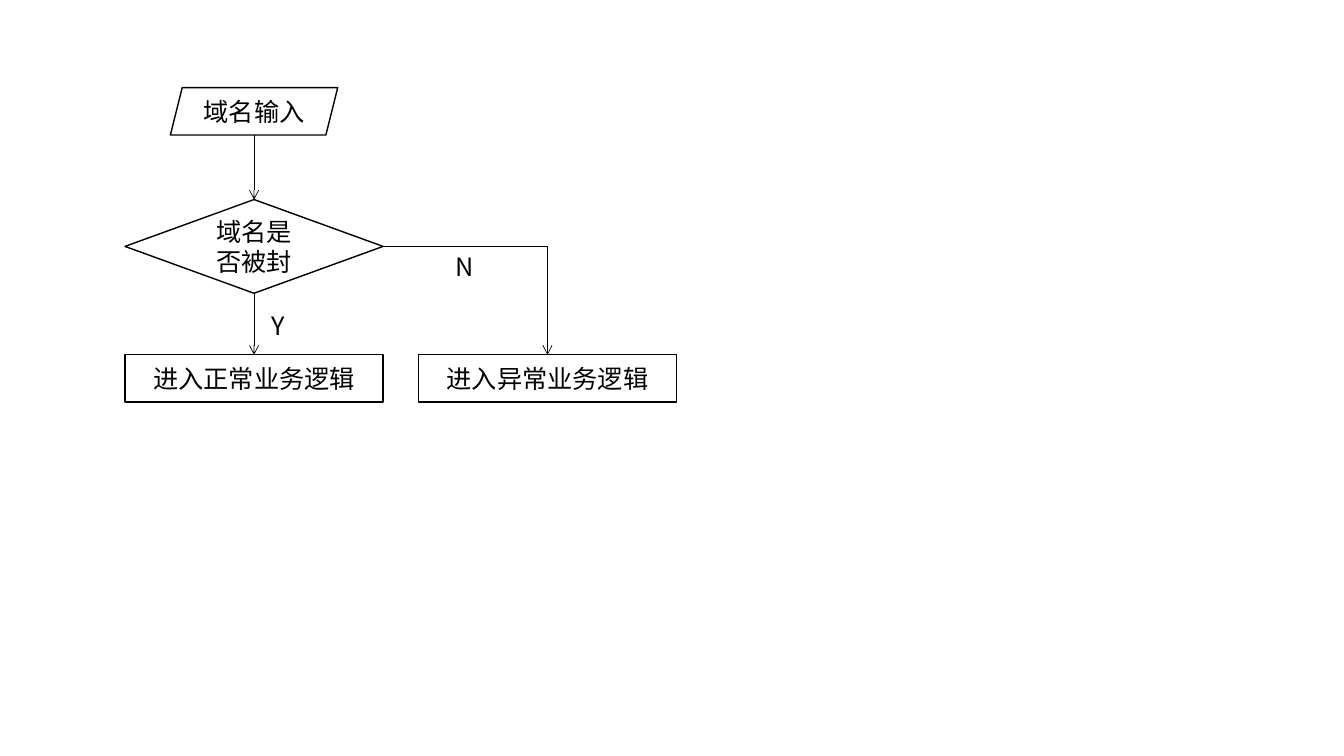
from lxml import etree
from pptx import Presentation
from pptx.dml.color import RGBColor
from pptx.enum import shapes, text
from pptx.oxml.ns import qn
from pptx.util import Inches, Pt

BLACK = RGBColor(0x00, 0x00, 0x00)
WHITE = RGBColor(0xFF, 0xFF, 0xFF)
FONT = "Noto Sans CJK SC"

STEP_W, STEP_H = 2.56, 0.47
NORMAL_X, ABNORMAL_X = 1.24, 4.15
RESULT_Y = 3.52
CHECK_Y, CHECK_H = 1.98, 0.93
INPUT_Y, INPUT_W = 0.87, 1.66


def write(frame, wording, align):
    frame.text = wording
    for paragraph in frame.paragraphs:
        paragraph.alignment = align
        for run in paragraph.runs:
            run.font.size = Pt(18)
            run.font.name = FONT
            run.font.color.rgb = BLACK
            east_asian = etree.SubElement(run.font._element, qn("a:ea"))
            east_asian.set("typeface", FONT)


def add_step(slide, preset, left, top, width, height, wording):
    step = slide.shapes.add_shape(
        preset, Inches(left), Inches(top), Inches(width), Inches(height))
    step.shadow.inherit = False
    step.fill.solid()
    step.fill.fore_color.rgb = WHITE
    step.line.color.rgb = BLACK
    step.line.width = Pt(1)
    step.text_frame.word_wrap = False
    step.text_frame.vertical_anchor = text.MSO_ANCHOR.MIDDLE
    write(step.text_frame, wording, text.PP_ALIGN.CENTER)
    return step


def add_flow(slide, start, end, source=None, target=None, arrow=True):
    """Draw a line; source and target are optional (shape, site) joints."""
    flow = slide.shapes.add_connector(
        shapes.MSO_CONNECTOR.STRAIGHT, *(Inches(v) for v in (*start, *end)))
    if source:
        flow.begin_connect(*source)
    if target:
        flow.end_connect(*target)
    flow.line.color.rgb = BLACK
    flow.line.width = Pt(0.5)
    if arrow:
        tail = etree.SubElement(flow.line._get_or_add_ln(), qn("a:tailEnd"))
        tail.set("type", "arrow")
    etree.SubElement(flow._element.spPr, qn("a:effectLst"))


def add_answer(slide, left, top, wording):
    answer = slide.shapes.add_textbox(
        Inches(left), Inches(top), Inches(0.33), Inches(0.4))
    answer.text_frame.word_wrap = False
    answer.text_frame.auto_size = text.MSO_AUTO_SIZE.SHAPE_TO_FIT_TEXT
    write(answer.text_frame, wording, text.PP_ALIGN.LEFT)


def main():
    deck = Presentation()
    deck.slide_width, deck.slide_height = Inches(13.33), Inches(7.5)
    slide = deck.slides.add_slide(deck.slide_layouts[6])

    preset = shapes.MSO_SHAPE
    normal_mid = NORMAL_X + STEP_W / 2
    abnormal_mid = ABNORMAL_X + STEP_W / 2
    check_mid = CHECK_Y + CHECK_H / 2
    check_right = NORMAL_X + STEP_W
    input_bottom = INPUT_Y + STEP_H

    add_step(slide, preset.PARALLELOGRAM, normal_mid - INPUT_W / 2, INPUT_Y,
             INPUT_W, STEP_H, "域名输入")
    check = add_step(slide, preset.DIAMOND, NORMAL_X, CHECK_Y,
                     STEP_W, CHECK_H, "域名是\n否被封")
    normal, abnormal = [
        add_step(slide, preset.RECTANGLE, left, RESULT_Y, STEP_W, STEP_H, wording)
        for left, wording in ((NORMAL_X, "进入正常业务逻辑"),
                              (ABNORMAL_X, "进入异常业务逻辑"))]

    corner = (abnormal_mid, check_mid)
    add_flow(slide, (normal_mid, input_bottom), (normal_mid, CHECK_Y),
             target=(check, 0))
    add_flow(slide, (normal_mid, CHECK_Y + CHECK_H), (normal_mid, RESULT_Y),
             source=(check, 2), target=(normal, 0))
    add_flow(slide, (check_right, check_mid), corner,
             source=(check, 3), arrow=False)
    add_flow(slide, corner, (abnormal_mid, RESULT_Y), target=(abnormal, 0))

    add_answer(slide, 2.59, 3.03, "Y")
    add_answer(slide, 4.42, 2.44, "N")

    deck.save("out.pptx")


if __name__ == "__main__":
    main()
